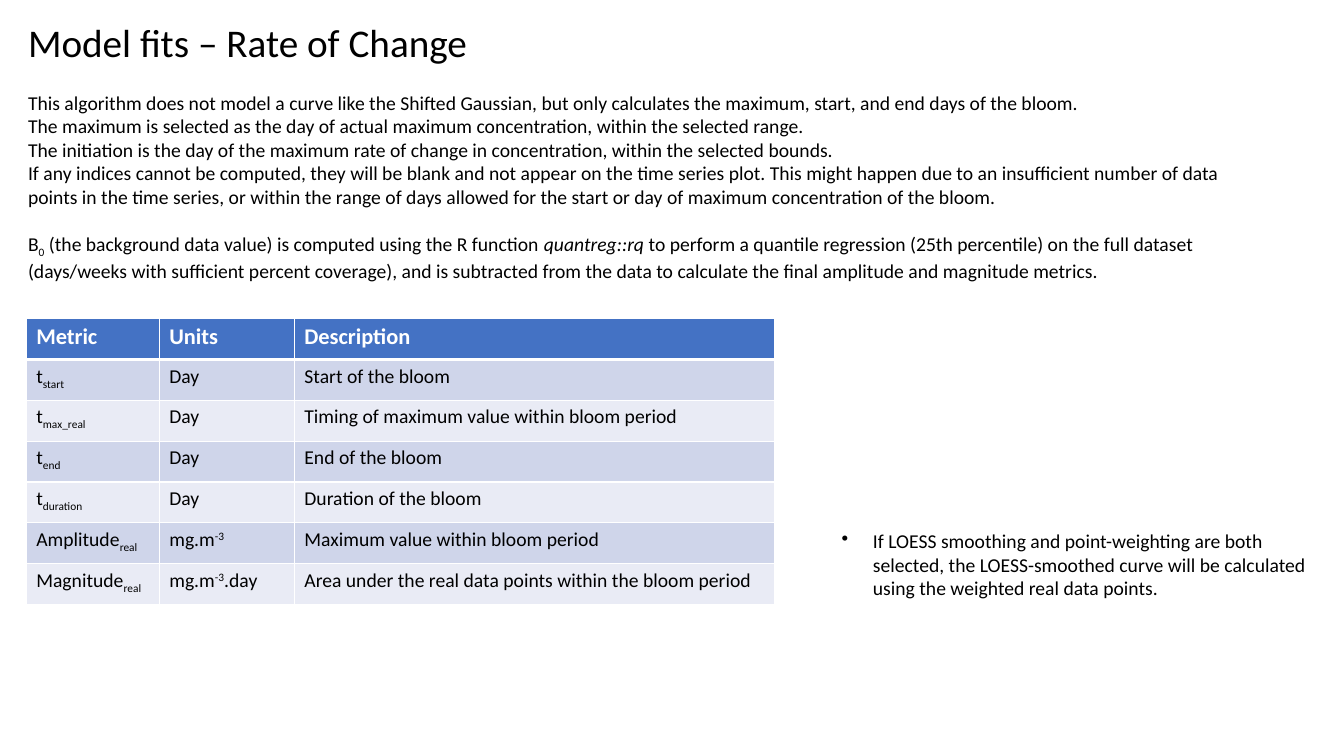
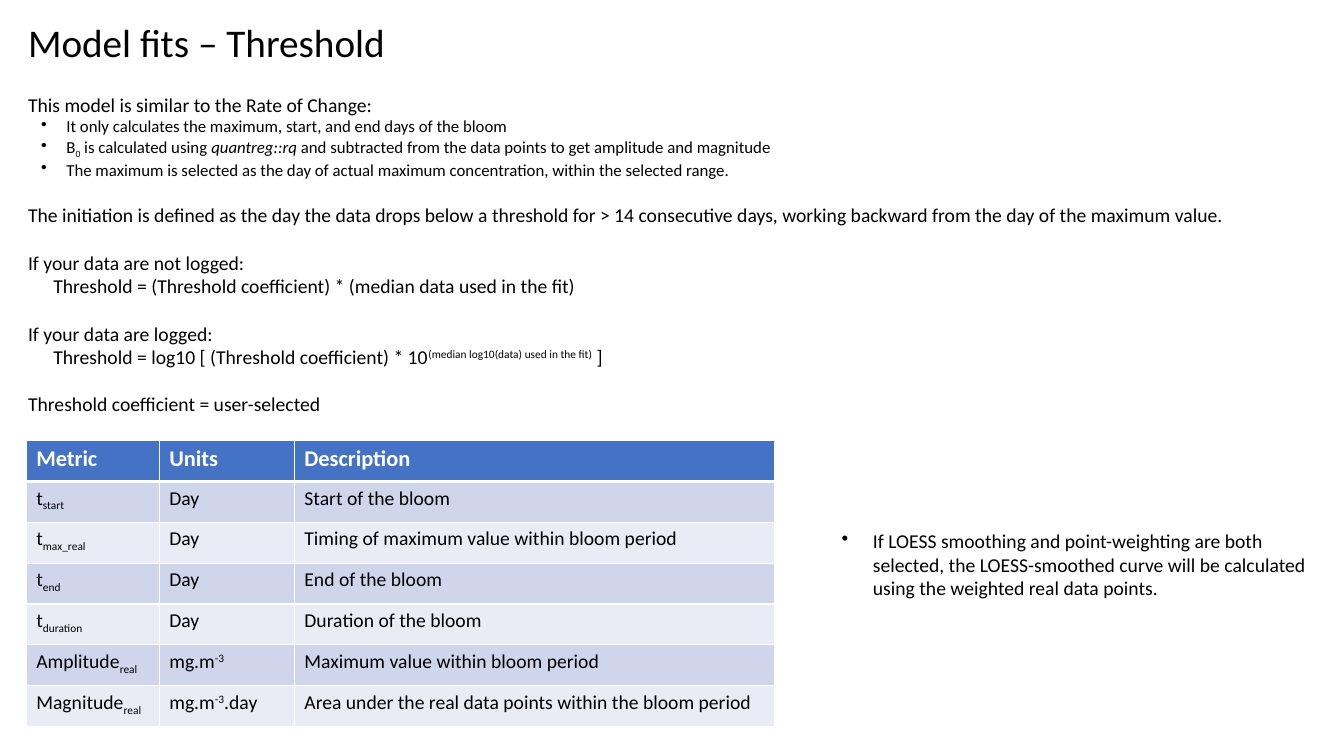
import dataclasses

import lxml.etree
import pptx
import pptx.dml.color
import pptx.enum.text
import pptx.oxml.ns
import pptx.util

Inches = pptx.util.Inches
qn = pptx.oxml.ns.qn


@dataclasses.dataclass(frozen=True)
class Theme:
    font: str = "Calibri"
    ink: str = "000000"
    white: str = "FFFFFF"
    header: str = "4472C4"
    bands: tuple = ("CFD5EA", "E9EBF5")
    title_size: int = 28
    header_size: int = 16
    body_size: int = 14
    detail_size: int = 12
    gap: int = 17  # points, one empty body line
    rule: int = 1
    header_rule: int = 3


THEME = Theme()


@dataclasses.dataclass(frozen=True)
class Para:
    runs: tuple
    size: int = THEME.body_size
    margin: float = 0
    indent: float = 0
    bullet: bool = False
    gap: int = 0


# Run markers: plain strings are plain runs
def sub(text):
    return text, {"baseline": "-25000"}


def sup(text):
    return text, {"baseline": "30000"}


def italic(text):
    return text, {"i": "1"}


# Paragraph kinds
def line(*runs, gap=0):
    return Para(runs, gap=gap)


def after_gap(*runs):
    return line(*runs, gap=THEME.gap)


def formula(*runs):
    return Para(runs, indent=0.25)


def detail(*runs):
    return Para(runs, size=THEME.detail_size, margin=0.38, indent=-0.25, bullet=True)


# Content
METRICS = [
    (("t", sub("start")), ("Day",), ("Start of the bloom",)),
    (("t", sub("max_real")), ("Day",), ("Timing of maximum value within bloom period",)),
    (("t", sub("end")), ("Day",), ("End of the bloom",)),
    (("t", sub("duration")), ("Day",), ("Duration of the bloom",)),
    (("Amplitude", sub("real")), ("mg.m", sup("-3")),
     ("Maximum value within bloom period",)),
    (("Magnitude", sub("real")), ("mg.m", sup("-3"), ".day"),
     ("Area under the real data points within the bloom period",)),
]
METRIC_HEADINGS = (("Metric",), ("Units",), ("Description",))
METRIC_WIDTHS = (1.32, 1.34, 4.76)
METRIC_TABLE_HEIGHT = 2.84

LOESS_NOTE = Para(
    ("If LOESS smoothing and point-weighting are both selected, the LOESS-smoothed "
     "curve will be calculated using the weighted real data points.",),
    margin=0.31, indent=-0.31, bullet=True)

RATE_OF_CHANGE = [
    line("This algorithm does not model a curve like the Shifted Gaussian, but only "
         "calculates the maximum, start, and end days of the bloom."),
    line("The maximum is selected as the day of actual maximum concentration, "
         "within the selected range."),
    line("The initiation is the day of the maximum rate of change in concentration, "
         "within the selected bounds."),
    line("If any indices cannot be computed, they will be blank and not appear on the "
         "time series plot. This might happen due to an insufficient number of data "
         "points in the time series, or within the range of days allowed for the start "
         "or day of maximum concentration of the bloom."),
    after_gap("B", sub("0"),
              " (the background data value) is computed using the R function ",
              italic("quantreg::rq"),
              " to perform a quantile regression (25th percentile) on the full dataset "
              "(days/weeks with sufficient percent coverage), and is subtracted from "
              "the data to calculate the final amplitude and magnitude metrics."),
]

THRESHOLD = [
    line("This model is similar to the Rate of Change:"),
    detail("It only calculates the maximum, start, and end days of the bloom"),
    detail("B", sub("0"), " is calculated using ", italic("quantreg::rq"),
           " and subtracted from the data points to get amplitude and magnitude"),
    detail("The maximum is selected as the day of actual maximum concentration, "
           "within the selected range."),
    after_gap("The initiation is defined as the day the data drops below a threshold "
              "for > 14 consecutive days, working backward from the day of the "
              "maximum value."),
    after_gap("If your data are not logged:"),
    formula("Threshold = (Threshold coefficient) * (median data used in the fit)"),
    after_gap("If your data are logged:"),
    formula("Threshold = log10 [ (Threshold coefficient) * 10",
            sup("(median log10(data) used in the fit)"), " ]"),
    after_gap("Threshold coefficient = user-selected"),
]


# Text
def write_runs(paragraph, runs, size, color=THEME.ink, bold=False):
    font_values = {"name": THEME.font, "size": pptx.util.Pt(size), "bold": bold}
    for item in runs:
        text, marks = (item, {}) if isinstance(item, str) else item
        run = paragraph.add_run()
        run.text = text
        for name, value in font_values.items():
            setattr(run.font, name, value)
        run.font.color.rgb = pptx.dml.color.RGBColor.from_string(color)
        for name, value in marks.items():
            run._r.get_or_add_rPr().set(name, value)


def write_paragraph(paragraph, content):
    properties = paragraph._p.get_or_add_pPr()
    for name, value in {"marL": content.margin, "indent": content.indent}.items():
        properties.set(name, str(Inches(value)))
    if content.bullet:
        lxml.etree.SubElement(properties, qn("a:buChar")).set("char", "•")
    paragraph.space_before = pptx.util.Pt(content.gap)
    write_runs(paragraph, content.runs, content.size)


def add_text(slide, left, top, width, height, paragraphs):
    box = slide.shapes.add_textbox(*map(Inches, (left, top, width, height)))
    frame = box.text_frame
    frame.word_wrap = True
    frame.auto_size = pptx.enum.text.MSO_AUTO_SIZE.SHAPE_TO_FIT_TEXT
    for index, content in enumerate(paragraphs):
        paragraph = frame.add_paragraph() if index else frame.paragraphs[0]
        write_paragraph(paragraph, content)


# Metric table
def set_borders(cell, top, bottom):
    properties = cell._tc.get_or_add_tcPr()
    widths = {"a:lnL": THEME.rule, "a:lnR": THEME.rule, "a:lnT": top, "a:lnB": bottom}
    for side, width in widths.items():
        border = lxml.etree.SubElement(properties, qn(side))
        border.set("w", str(pptx.util.Pt(width)))
        fill = lxml.etree.SubElement(border, qn("a:solidFill"))
        lxml.etree.SubElement(fill, qn("a:srgbClr")).set("val", THEME.white)


def add_metric_table(slide, top):
    rows = [METRIC_HEADINGS, *METRICS]
    table = slide.shapes.add_table(
        len(rows), len(METRIC_WIDTHS), Inches(0.26), Inches(top),
        Inches(sum(METRIC_WIDTHS)), Inches(METRIC_TABLE_HEIGHT)).table
    for column, width in zip(table.columns, METRIC_WIDTHS):
        column.width = Inches(width)
    for row_index, row in enumerate(rows):
        heading = row_index == 0
        fill = THEME.header if heading else THEME.bands[(row_index - 1) % 2]
        style = ({"size": THEME.header_size, "color": THEME.white, "bold": True}
                 if heading else {"size": THEME.body_size})
        rule_above = THEME.header_rule if row_index == 1 else THEME.rule
        rule_below = THEME.header_rule if heading else THEME.rule
        for column_index, runs in enumerate(row):
            cell = table.cell(row_index, column_index)
            set_borders(cell, rule_above, rule_below)
            cell.fill.solid()
            cell.fill.fore_color.rgb = pptx.dml.color.RGBColor.from_string(fill)
            write_runs(cell.text_frame.paragraphs[0], runs, **style)


# Slide shared by both models
def add_model_slide(deck, model, explanation, explanation_box, table_top):
    slide = deck.slides.add_slide(deck.slide_layouts[6])
    title = Para((f"Model fits – {model}",), size=THEME.title_size)
    add_text(slide, 0.18, 0.13, 6.82, 0.57, [title])
    add_metric_table(slide, table_top)
    add_text(slide, *explanation_box, explanation)
    add_text(slide, 8.25, 5.2, 4.83, 0.81, [LOESS_NOTE])


def main():
    deck = pptx.Presentation()
    deck.slide_width, deck.slide_height = Inches(13.33), Inches(7.5)
    add_model_slide(deck, "Rate of Change", RATE_OF_CHANGE,
                    (0.18, 0.85, 12.07, 1.99), 3.16)
    add_model_slide(deck, "Threshold", THRESHOLD,
                    (0.18, 0.87, 12.89, 3.3), 4.37)
    deck.save("out.pptx")


if __name__ == "__main__":
    main()
